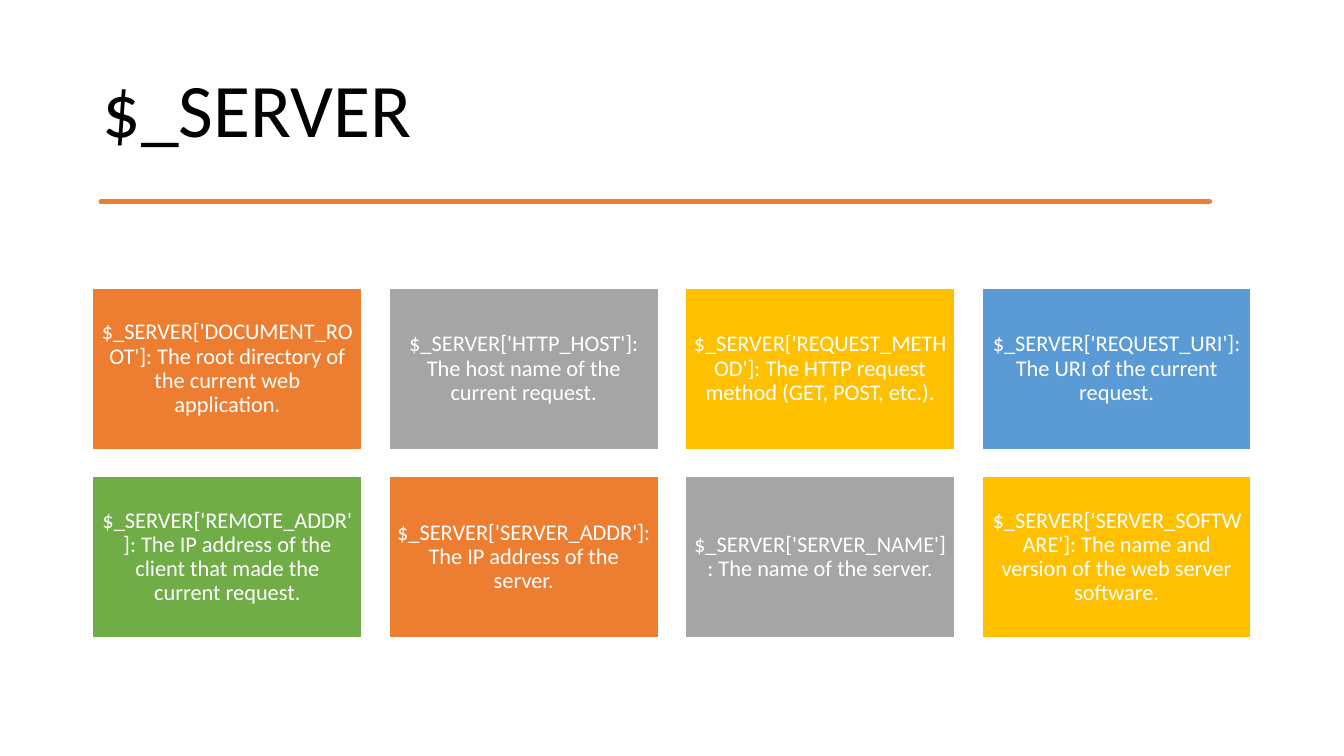
"""Build the $_SERVER slide: a title, a brushed rule and a grid of cards."""
import dataclasses
import pptx
import pptx.dml.color
import pptx.enum.shapes
import pptx.enum.text
import pptx.slide
import pptx.text.text
import pptx.util

Inches = pptx.util.Inches
Pt = pptx.util.Pt
Color = pptx.dml.color.RGBColor
Align = pptx.enum.text.PP_ALIGN


@dataclasses.dataclass(frozen=True)
class Theme:
    font: str = "Calibri"
    black: str = "000000"
    white: str = "FFFFFF"
    rule: str = "ED7D31"
    fills: tuple[str, ...] = ("ED7D31", "A5A5A5", "FFC000", "5B9BD5", "70AD47")
    title: int = 54
    body: int = 16


@dataclasses.dataclass(frozen=True)
class Card:
    key: str
    note: str


@dataclasses.dataclass(frozen=True)
class Grid:
    left: float = 0.92
    top: float = 2.86
    width: float = 2.67
    height: float = 1.6
    gap: float = 0.27
    cols: int = 4
    inset: float = 0.07


THEME = Theme()
GRID = Grid()
CARDS = (
    Card("DOCUMENT_ROOT", "The root directory of the current web application."),
    Card("HTTP_HOST", "The host name of the current request."),
    Card("REQUEST_METHOD", "The HTTP request method (GET, POST, etc.)."),
    Card("REQUEST_URI", "The URI of the current request."),
    Card("REMOTE_ADDR", "The IP address of the client that made the current request."),
    Card("SERVER_ADDR", "The IP address of the server."),
    Card("SERVER_NAME", "The name of the server."),
    Card("SERVER_SOFTWARE", "The name and version of the web server software."),
)
UPPER = (
    (0.92, 2.04), (1.5, 2.03), (2.0, 2.04), (2.4, 2.03), (3.0, 2.04),
    (3.7, 2.03), (3.9, 2.04), (4.7, 2.03), (5.4, 2.04), (5.9, 2.03),
    (6.3, 2.04), (6.9, 2.02), (7.3, 2.04), (7.7, 2.05), (8.2, 2.03),
    (8.6, 2.05), (9.3, 2.02), (10.2, 2.04), (11.4, 2.03), (12.32, 2.04),
)
LOWER = (
    (12.32, 2.06), (11.8, 2.05), (11.3, 2.08), (10.6, 2.06), (9.9, 2.06),
    (9.3, 2.06), (8.7, 2.08), (8.2, 2.05), (7.7, 2.06), (7.0, 2.07),
    (6.0, 2.06), (5.2, 2.07), (4.6, 2.05), (4.0, 2.08), (3.4, 2.05),
    (2.6, 2.07), (2.1, 2.05), (1.5, 2.08), (0.92, 2.06),
)


def style(para: pptx.text.text._Paragraph, size: int, color: str, align: Align) -> None:
    para.alignment = align
    para.line_spacing = 0.9
    para.font.name = THEME.font
    para.font.size = Pt(size)
    para.font.color.rgb = Color.from_string(color)


def add_title(slide: pptx.slide.Slide, text: str) -> None:
    title = slide.shapes.title
    title.left, title.top = Inches(0.92), Inches(0.4)
    title.width, title.height = Inches(11.5), Inches(1.45)
    frame = title.text_frame
    frame.text = text
    frame.auto_size = pptx.enum.text.MSO_AUTO_SIZE.NONE
    frame.vertical_anchor = pptx.enum.text.MSO_ANCHOR.MIDDLE
    style(frame.paragraphs[0], THEME.title, THEME.black, Align.LEFT)


def add_rule(slide: pptx.slide.Slide) -> None:
    points = UPPER + LOWER
    pen = slide.shapes.build_freeform(*points[0], scale=Inches(1))
    pen.add_line_segments(points[1:], close=True)
    rule = pen.convert_to_shape()
    rule.shadow.inherit = False
    rule.fill.solid()
    rule.fill.fore_color.rgb = Color.from_string(THEME.rule)
    rule.line.color.rgb = Color.from_string(THEME.rule)
    rule.line.width = Pt(3.25)


def add_card(slide: pptx.slide.Slide, card: Card, index: int) -> None:
    row, col = divmod(index, GRID.cols)
    box = slide.shapes.add_shape(
        pptx.enum.shapes.MSO_SHAPE.RECTANGLE,
        Inches(GRID.left + col * (GRID.width + GRID.gap)),
        Inches(GRID.top + row * (GRID.height + GRID.gap)),
        Inches(GRID.width),
        Inches(GRID.height),
    )
    box.shadow.inherit = False
    box.fill.solid()
    box.fill.fore_color.rgb = Color.from_string(THEME.fills[index % len(THEME.fills)])
    box.line.color.rgb = Color.from_string(THEME.white)
    box.line.width = Pt(1)
    frame = box.text_frame
    frame.word_wrap = True
    frame.vertical_anchor = pptx.enum.text.MSO_ANCHOR.MIDDLE
    frame.margin_left = frame.margin_right = Inches(GRID.inset)
    frame.margin_top = frame.margin_bottom = Inches(GRID.inset)
    frame.text = f"$_SERVER['{card.key}']: {card.note}"
    style(frame.paragraphs[0], THEME.body, THEME.white, Align.CENTER)


def main() -> None:
    deck = pptx.Presentation()
    deck.slide_width, deck.slide_height = Inches(13.33), Inches(7.5)
    slide = deck.slides.add_slide(deck.slide_layouts.get_by_name("Title Only"))
    add_title(slide, "$_SERVER")
    add_rule(slide)
    for index, card in enumerate(CARDS):
        add_card(slide, card, index)
    deck.save("out.pptx")


if __name__ == "__main__":
    main()
